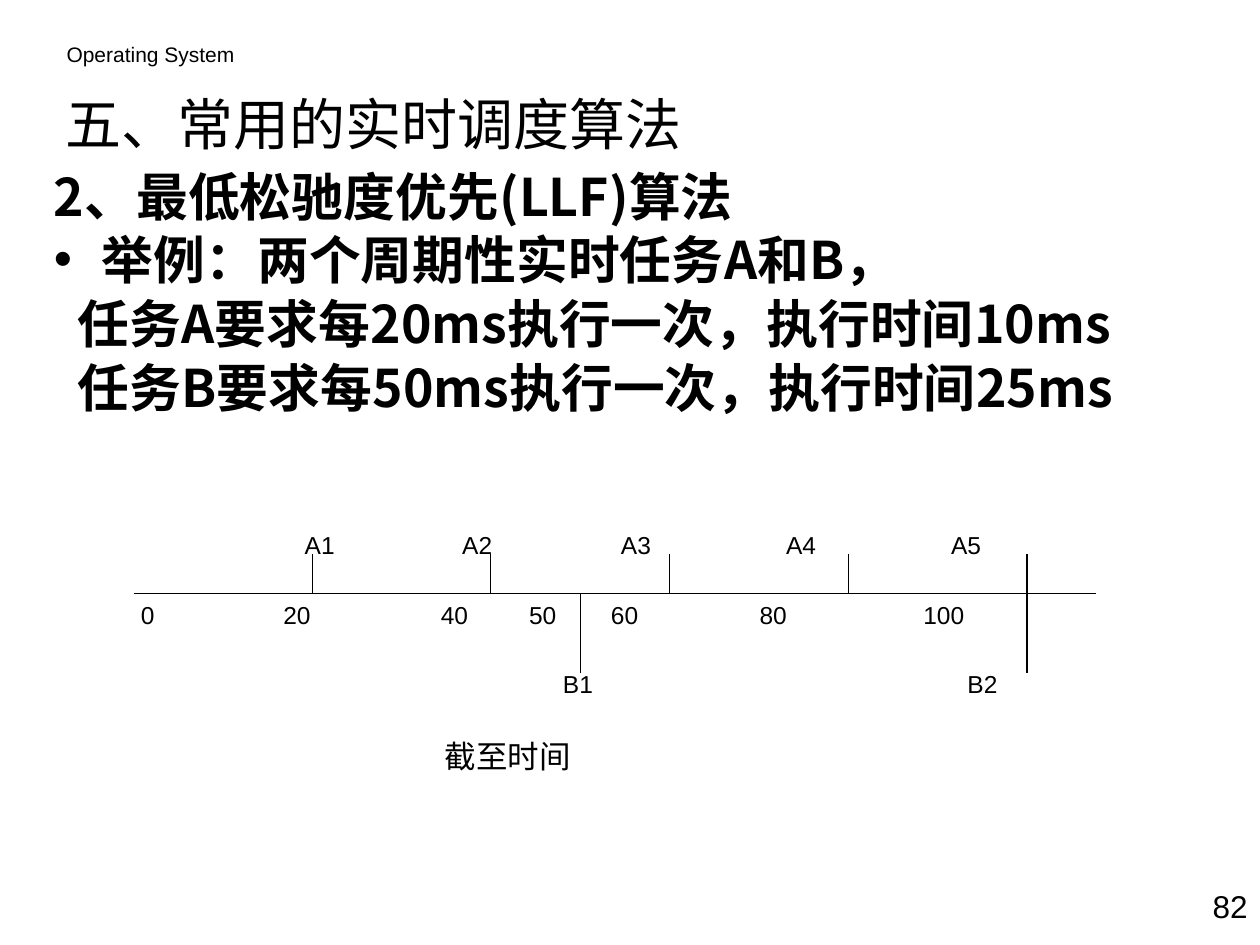
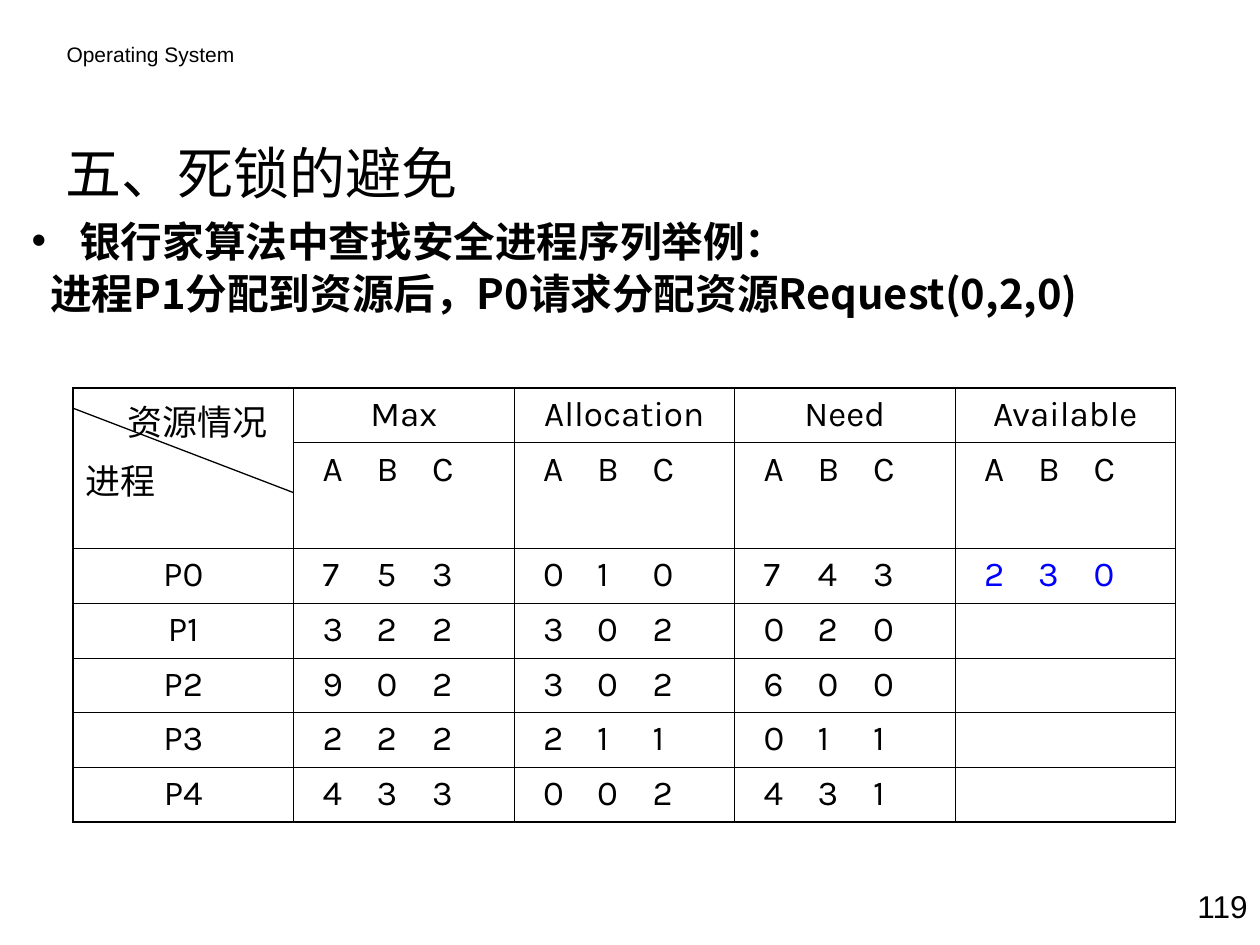
from lxml import etree
from pptx import Presentation
from pptx.dml.color import RGBColor
from pptx.enum.shapes import MSO_CONNECTOR
from pptx.enum.text import MSO_ANCHOR, PP_ALIGN
from pptx.oxml.ns import qn
from pptx.util import Inches, Pt

LINE = MSO_CONNECTOR.STRAIGHT
MIDDLE, TOP = MSO_ANCHOR.MIDDLE, MSO_ANCHOR.TOP
LEFT, CENTER, RIGHT = PP_ALIGN.LEFT, PP_ALIGN.CENTER, PP_ALIGN.RIGHT
BLACK = RGBColor(0x00, 0x00, 0x00)
BLUE = RGBColor(0x00, 0x00, 0xFF)
ARIAL, KARLA, CJK = "Arial", "Karla", "Noto Sans CJK SC"

SLIDE_W, SLIDE_H = 10, 7.5
AXIS_X, AXIS_Y = 1.06, 4.71
TICK_STEP = 1.418  # inches for each 20 ms
TABLE_X, TABLE_Y, COL_W = 0.58, 3.08, 1.75
ROW_H = [0.43, 0.84] + [0.43] * 5
THIN, THICK = 0.45, 1.08
ABC_STOPS = [0.43, 0.87]

HEADERS = ["Max", "Allocation", "Need", "Available"]
PROCESSES = [
    ("P0", "753", "010", "743", "230"),
    ("P1", "322", "302", "020", ""),
    ("P2", "902", "302", "600", ""),
    ("P3", "222", "211", "011", ""),
    ("P4", "433", "002", "431", ""),
]


def style(p, size, font, color=BLACK, bold=False, align=LEFT):
    p.alignment = align
    p.font.size = Pt(size)
    p.font.bold = bold
    p.font.color.rgb = color
    p.font.name = font
    def_rpr = p._p.pPr.find(qn("a:defRPr"))
    etree.SubElement(def_rpr, qn("a:ea"), typeface=CJK)


def indent(p, margin, first=0.0):
    p_pr = p._p.get_or_add_pPr()
    p_pr.set("marL", str(Inches(margin)))
    p_pr.set("indent", str(Inches(first)))
    return p_pr


def add_tabs(p, stops):
    tabs = etree.SubElement(p._p.get_or_add_pPr(), qn("a:tabLst"))
    for stop in stops:
        etree.SubElement(tabs, qn("a:tab"), pos=str(Inches(stop)), algn="l")


def add_text(s, text, x, y, w, h, size, font=ARIAL, align=LEFT, anchor=TOP, stops=()):
    tf = s.shapes.add_textbox(Inches(x), Inches(y), Inches(w), Inches(h)).text_frame
    tf.word_wrap = True
    tf.vertical_anchor = anchor
    p = tf.paragraphs[0]
    p.text = text
    if stops:
        add_tabs(p, stops)
    style(p, size, font, align=align)


def add_body(s, lines, x, y, h, size, gap, inset):
    """Each line is (text, kind), where kind is "plain", "bullet" or an indent."""
    tf = s.shapes.add_textbox(
        Inches(x), Inches(y), Inches(SLIDE_W - x), Inches(h)).text_frame
    tf.word_wrap = True
    tf.margin_left = tf.margin_right = Inches(inset)
    for i, (text, kind) in enumerate(lines):
        p = tf.add_paragraph() if i else tf.paragraphs[0]
        p.text = text
        p.line_spacing = 0.8
        if i:
            p.space_before = Pt(gap)
        if kind == "bullet":
            p_pr = indent(p, 0.38, -0.38)
            etree.SubElement(p_pr, qn("a:buFont"), typeface=ARIAL)
            etree.SubElement(p_pr, qn("a:buChar"), char="•")
        elif kind != "plain":
            indent(p, kind)
        style(p, size, CJK, bold=True)


def add_line(s, x1, y1, x2, y2):
    c = s.shapes.add_connector(LINE, Inches(x1), Inches(y1), Inches(x2), Inches(y2))
    c.line.color.rgb = BLACK
    c.line.width = Pt(0.75)
    etree.SubElement(c._element.spPr, qn("a:effectLst"))


def add_slide(prs, title, title_y, number):
    s = prs.slides.add_slide(prs.slide_layouts[6])
    add_text(s, "Operating System", 0.43, 0.28, 4.1, 0.3, 12)
    add_text(s, title, 0.42, title_y, 9, 0.75, 32, CJK, anchor=MIDDLE)
    add_text(s, number, SLIDE_W - 0.92, 6.99, 0.92, 0.4, 18, align=RIGHT)
    return s


def add_deadline_axis(s):
    def at(ms):
        return AXIS_X + ms / 20 * TICK_STEP

    above, below = AXIS_Y - 0.31, AXIS_Y + 0.63
    add_line(s, AXIS_X, AXIS_Y, 8.7, AXIS_Y)
    for ms in range(20, 100, 20):
        add_line(s, at(ms), above, at(ms), AXIS_Y)
    add_line(s, at(100), above, at(100), below)
    add_line(s, at(50), AXIS_Y, at(50), below)
    add_text(s, "0\t20\t40\t50\t60\t80\t100", 1.02, AXIS_Y, 7.68, 0.34, 14,
             stops=[1.13, 2.38, 3.08, 3.73, 4.91, 6.21])
    add_text(s, "A1\tA2\tA3\tA4\tA5", 2.32, 4.16, 6.22, 0.57, 14,
             stops=[1.25, 2.51, 3.82, 5.13])
    add_text(s, "B1\tB2", 4.37, 5.26, 4.17, 0.34, 14, stops=[3.21])
    add_text(s, "截至时间", 3.43, 5.8, 2.13, 0.4, 18)


def set_borders(cell, widths):
    """Widths are in points, for the left, right, top and bottom edges."""
    tc_pr = cell._tc.get_or_add_tcPr()
    for side, width in zip("LRTB", widths):
        ln = etree.SubElement(tc_pr, qn(f"a:ln{side}"), w=str(Pt(width)))
        fill = etree.SubElement(ln, qn("a:solidFill"))
        etree.SubElement(fill, qn("a:srgbClr"), val=str(BLACK))


def fill_label(cell, text):
    p = cell.text_frame.paragraphs[0]
    p.text = text
    style(p, 20, KARLA, align=CENTER)


def fill_abc(cell, values, color=BLACK):
    """Spread the values for resources A, B and C over tab stops."""
    cell.margin_left = Inches(0.23)
    p = cell.text_frame.paragraphs[0]
    p.text = "\t".join(values)
    add_tabs(p, ABC_STOPS)
    style(p, 20, KARLA, color)


def fill_corner(cell):
    tf = cell.text_frame
    tf.text = "资源情况\n进程"
    resources, process = tf.paragraphs
    indent(resources, 0.33)
    process.space_before = Pt(5)
    for p in tf.paragraphs:
        style(p, 20, KARLA)


def add_resource_table(s):
    rows, cols = len(ROW_H), len(HEADERS) + 1
    table = s.shapes.add_table(
        rows, cols, Inches(TABLE_X), Inches(TABLE_Y),
        Inches(COL_W * cols), Inches(sum(ROW_H))).table
    table.first_row = table.horz_banding = False
    for row, height in zip(table.rows, ROW_H):
        row.height = Inches(height)
    for r in range(rows):
        for c in range(cols):
            edges = (c == 0, c == cols - 1, r == 0, r == rows - 1)
            cell = table.cell(r, c)
            set_borders(cell, [THICK if outer else THIN for outer in edges])
            cell.fill.background()
    table.cell(0, 0).merge(table.cell(1, 0))
    fill_corner(table.cell(0, 0))
    for c, header in enumerate(HEADERS, 1):
        fill_label(table.cell(0, c), header)
        fill_abc(table.cell(1, c), "ABC")
    for r, (name, *groups) in enumerate(PROCESSES, 2):
        fill_label(table.cell(r, 0), name)
        for c, values in enumerate(groups, 1):
            if values:
                fill_abc(table.cell(r, c), values, BLUE if c == cols - 1 else BLACK)
    add_line(s, TABLE_X, 3.24, TABLE_X + COL_W, 3.91)


def main():
    prs = Presentation()
    prs.slide_width, prs.slide_height = Inches(SLIDE_W), Inches(SLIDE_H)

    s = add_slide(prs, "五、常用的实时调度算法", 0.6, "82")
    add_body(s, [
        ("2、最低松驰度优先(LLF)算法", "plain"),
        ("举例：两个周期性实时任务A和B，", "bullet"),
        ("任务A要求每20ms执行一次，执行时间10ms", 0.19),
        ("任务B要求每50ms执行一次，执行时间25ms", 0.19),
    ], 0.33, 1.35, 2.5, 29.6, 8, 0.1)
    add_deadline_axis(s)

    s = add_slide(prs, "五、死锁的避免", 0.99, "119")
    add_body(s, [
        ("银行家算法中查找安全进程序列举例：", "bullet"),
        ("进程P1分配到资源后，P0请求分配资源Request(0,2,0)", 0.15),
    ], 0.25, 1.74, 0.92, 23.8, 7, 0)
    add_resource_table(s)

    prs.save("out.pptx")


if __name__ == "__main__":
    main()
